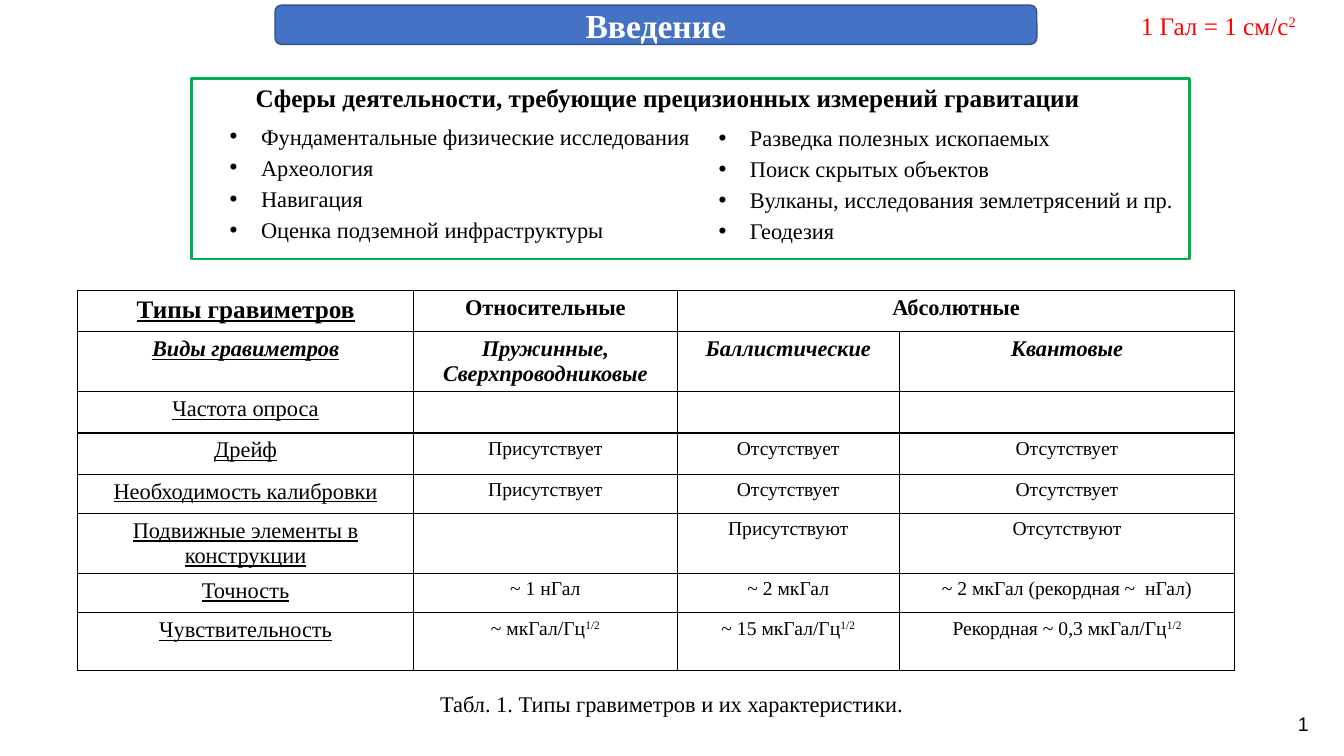
import pptx
import pptx.util
import pptx.dml.color
import pptx.enum.shapes
import pptx.enum.text
import pptx.oxml
import pptx.oxml.ns
from lxml import etree

Cm = pptx.util.Cm
Pt = pptx.util.Pt
ALIGN = pptx.enum.text.PP_ALIGN
SHAPE = pptx.enum.shapes.MSO_SHAPE
qn = pptx.oxml.ns.qn

COLOURS = {
    "black": "000000",
    "white": "FFFFFF",
    "red": "FF0000",
    "banner": "4472C4",
    "banner_edge": "31538F",
    "frame": "00B050",
}
SERIF = "Times New Roman"

FIELDS_LEFT = [
    "Фундаментальные физические исследования",
    "Археология",
    "Навигация",
    "Оценка подземной инфраструктуры",
]
FIELDS_RIGHT = [
    "Разведка полезных ископаемых",
    "Поиск скрытых объектов",
    "Вулканы, исследования землетрясений и пр.",
    "Геодезия",
]

# A "^" separates the base text from its superscript
GRAVIMETERS = [
    ["Типы гравиметров", "Относительные", "Абсолютные", ""],
    ["Виды гравиметров", "Пружинные, Сверхпроводниковые", "Баллистические", "Квантовые"],
    ["Частота опроса", "", "", ""],
    ["Дрейф", "Присутствует", "Отсутствует", "Отсутствует"],
    ["Необходимость калибровки", "Присутствует", "Отсутствует", "Отсутствует"],
    ["Подвижные элементы в конструкции", "", "Присутствуют", "Отсутствуют"],
    ["Точность", "~ 1 нГал", "~ 2 мкГал", "~ 2 мкГал (рекордная ~  нГал)"],
    ["Чувствительность", "~ мкГал/Гц^1/2", "~ 15 мкГал/Гц^1/2", "Рекордная ~ 0,3 мкГал/Гц^1/2"],
]
COLUMN_WIDTHS = [8.46, 6.65, 5.59, 8.46]
ROW_HEIGHTS = [1.04, 1.04, 1.04, 1.04, 0.99, 0.99, 0.99, 1.45]


def colour(name):
    return pptx.dml.color.RGBColor.from_string(COLOURS[name])


def write(para, text, size, ink="black", face=SERIF, align=ALIGN.LEFT,
          bold=False, italic=False, underline=False):
    para.alignment = align
    font = para.font
    font.name, font.size = face, Pt(size)
    font.bold, font.italic, font.underline = bold, italic, underline
    font.color.rgb = colour(ink)
    base, _, superscript = text.partition("^")
    if base:
        para.add_run().text = base
    if superscript:
        span = para.add_run()
        span.text = superscript
        span._r.get_or_add_rPr().set("baseline", "30000")


def add_panel(page, kind, left, top, width, height, fill, line, weight):
    panel = page.shapes.add_shape(kind, Cm(left), Cm(top), Cm(width), Cm(height))
    panel.shadow.inherit = False
    panel.fill.solid()
    panel.fill.fore_color.rgb = colour(fill)
    panel.line.color.rgb = colour(line)
    panel.line.width = Pt(weight)
    return panel


def add_box(page, left, top, width, height, wrap=True):
    box = page.shapes.add_textbox(Cm(left), Cm(top), Cm(width), Cm(height))
    box.text_frame.word_wrap = wrap
    return box.text_frame


def add_label(page, place, text, size, wrap=True, **style):
    write(add_box(page, *place, wrap=wrap).paragraphs[0], text, size, **style)


def add_bullets(page, place, items):
    frame = add_box(page, *place)
    for index, item in enumerate(items):
        para = frame.paragraphs[0] if index == 0 else frame.add_paragraph()
        if index:
            para.space_before = Pt(3)
        properties = para._p.get_or_add_pPr()
        properties.set("marL", str(Cm(0.79)))
        properties.set("indent", str(-Cm(0.79)))
        etree.SubElement(properties, qn("a:buFont")).set("typeface", "Arial")
        etree.SubElement(properties, qn("a:buChar")).set("char", "•")
        write(para, item, 16)


def outline_cell(cell):
    properties = cell._tc.get_or_add_tcPr()
    for side in ("a:lnL", "a:lnR", "a:lnT", "a:lnB"):
        edge = etree.SubElement(properties, qn(side), w=str(Pt(1)))
        paint = etree.SubElement(edge, qn("a:solidFill"))
        etree.SubElement(paint, qn("a:srgbClr"), val=COLOURS["black"])


def cell_size(row, column):
    if row == 0 and column == 0:
        return 18
    return 16 if row < 2 or column == 0 else 14


def add_gravimeter_table(page, left, top):
    table = page.shapes.add_table(
        len(ROW_HEIGHTS), len(COLUMN_WIDTHS), Cm(left), Cm(top),
        Cm(sum(COLUMN_WIDTHS)), Cm(sum(ROW_HEIGHTS))).table
    table.first_row = table.horz_banding = False
    for column, width in zip(table.columns, COLUMN_WIDTHS):
        column.width = Cm(width)
    for row, height in zip(table.rows, ROW_HEIGHTS):
        row.height = Cm(height)
    for row, texts in enumerate(GRAVIMETERS):
        for column, text in enumerate(texts):
            cell = table.cell(row, column)
            outline_cell(cell)
            cell.fill.solid()
            cell.fill.fore_color.rgb = colour("white")
            write(cell.text_frame.paragraphs[0], text, cell_size(row, column),
                  align=ALIGN.CENTER, bold=row < 2, italic=row == 1,
                  underline=column == 0)
    table.cell(0, 2).merge(table.cell(0, 3))


def main():
    deck = pptx.Presentation()
    deck.slide_width, deck.slide_height = Cm(33.87), Cm(19.05)
    page = deck.slides.add_slide(deck.slide_layouts[6])

    # Comparison table and its caption
    add_gravimeter_table(page, 1.96, 7.32)
    add_label(page, (10.69, 17.27, 12.47, 0.94),
              "Табл. 1. Типы гравиметров и их характеристики.", 16,
              wrap=False, align=ALIGN.CENTER)

    # Title banner and unit note
    banner = add_panel(page, SHAPE.ROUNDED_RECTANGLE, 6.93, 0.13, 19.2, 0.99,
                       "banner", "banner_edge", 1)
    banner.text_frame.vertical_anchor = pptx.enum.text.MSO_ANCHOR.MIDDLE
    write(banner.text_frame.paragraphs[0], "Введение", 24, ink="white",
          align=ALIGN.CENTER, bold=True)
    add_label(page, (28.5, 0.13, 4.5, 1.02), "1 Гал = 1 см/c^2", 18,
              wrap=False, ink="red")

    # Fields of use
    add_panel(page, SHAPE.RECTANGLE, 4.83, 1.98, 25.15, 4.55, "white", "frame", 2)
    add_label(page, (5.87, 1.96, 21.92, 1.02),
              "Сферы деятельности, требующие прецизионных измерений гравитации",
              18, align=ALIGN.CENTER, bold=True)
    add_bullets(page, (5.54, 2.97, 13, 3.43), FIELDS_LEFT)
    add_bullets(page, (17.86, 3, 12.62, 3.3), FIELDS_RIGHT)

    # Page number
    add_label(page, (32.46, 17.81, 0.99, 0.86), "1", 14, face="Arial")

    deck.save("out.pptx")


if __name__ == "__main__":
    main()
